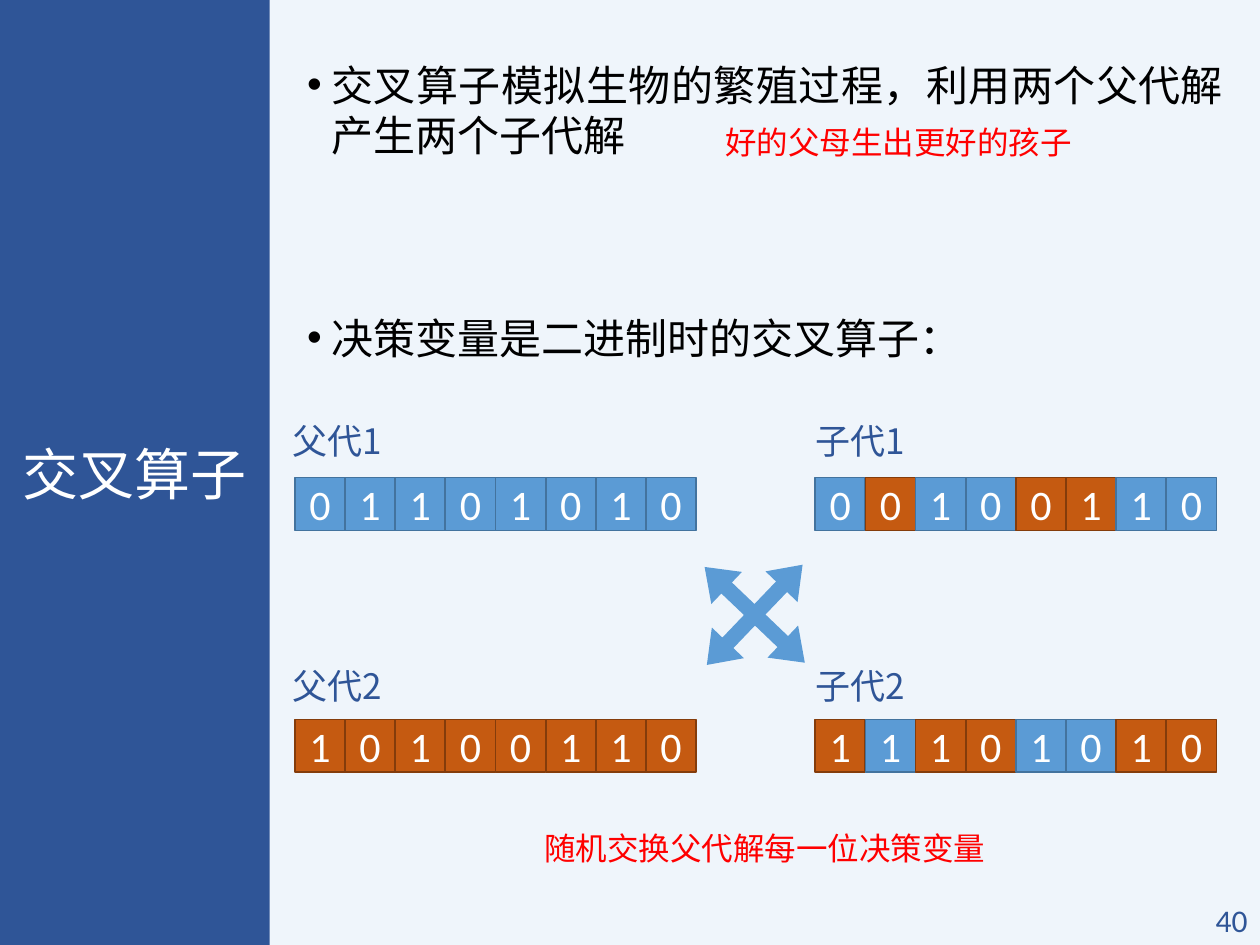
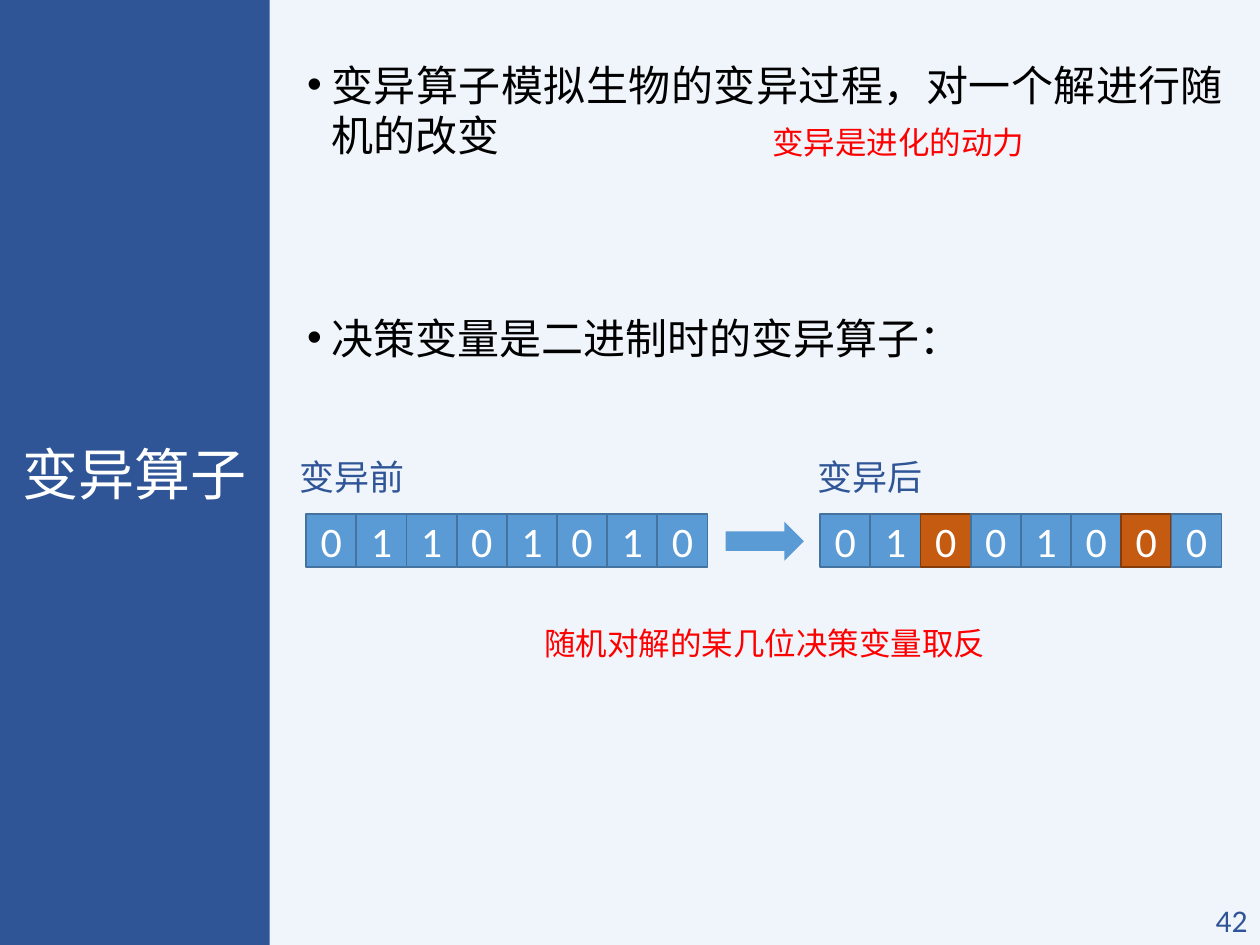
from lxml.etree import SubElement
from pptx import Presentation
from pptx.dml.color import RGBColor
from pptx.enum.shapes import MSO_SHAPE
from pptx.enum.text import MSO_ANCHOR, PP_ALIGN
from pptx.oxml.ns import qn
from pptx.util import Inches, Pt

NAVY, BLUE, ORANGE = "2F5597", "5B9BD5", "C55A11"
BLUE_EDGE, ORANGE_EDGE = "43739E", "843C0B"
WHITE, BLACK, RED, PALE = "FFFFFF", "000000", "FF0000", "EFF5FB"
CJK = "Noto Sans CJK SC"

deck = Presentation()
deck.slide_width, deck.slide_height = Inches(10), Inches(7.5)
column, row = deck.slide_width / 100, deck.slide_height / 75
layout = deck.slide_layouts[5]


def write(shape, lines, size, color, font=CJK, align=PP_ALIGN.LEFT,
          anchor=MSO_ANCHOR.TOP, inset=True):
    frame = shape.text_frame
    frame.text = "\n".join(lines)
    frame.word_wrap = True
    frame.vertical_anchor = anchor
    if not inset:
        frame.margin_left = frame.margin_right = 0
        frame.margin_top = frame.margin_bottom = 0
    for paragraph in frame.paragraphs:
        paragraph.alignment = align
        for run in paragraph.runs:
            run.font.size = Pt(size)
            run.font.name = font
            run.font.color.rgb = RGBColor.from_string(color)
            SubElement(run.font._element, qn("a:ea"), typeface=CJK)
    return frame.paragraphs


def draw(slide, preset, left, top, width, height, fill, edge=None):
    shape = slide.shapes.add_shape(preset, round(left * column), round(top * row),
                                   round(width * column), round(height * row))
    shape.shadow.inherit = False
    shape.fill.solid()
    shape.fill.fore_color.rgb = RGBColor.from_string(fill)
    if edge:
        shape.line.color.rgb = RGBColor.from_string(edge)
        shape.line.width = Pt(1)
    else:
        shape.line.fill.background()
    return shape


topics = [
    {
        "title": "交叉算子", "number": "40",
        "points": ["交叉算子模拟生物的繁殖过程，利用两个父代解产生两个子代解",
                   "决策变量是二进制时的交叉算子："],
        "motto": "好的父母生出更好的孩子",
        "summary": "随机交换父代解每一位决策变量", "summary_top": 65.2,
        "label_width": 9.9,
        "arrow": (MSO_SHAPE.QUAD_ARROW, 54.4, 43.3, 11, 11),
        "angle": 43.7, "adjustments": [0.11, 0.16, 0.22],
        "genes": [
            ("父代1", 22.2, 32.8, "01101010", "bbbbbbbb", 23.4, 37.9),
            ("父代2", 22.2, 52.2, "10100110", "oooooooo", 23.4, 57.1),
            ("子代1", 63.7, 32.8, "00100110", "bobboobb", 64.7, 37.9),
            ("子代2", 63.7, 52.2, "11101010", "oboobboo", 64.7, 57.1),
        ],
    },
    {
        "title": "变异算子", "number": "42",
        "points": ["变异算子模拟生物的变异过程，对一个解进行随机的改变",
                   "决策变量是二进制时的变异算子："],
        "motto": "变异是进化的动力",
        "summary": "随机对解的某几位决策变量取反", "summary_top": 48.9,
        "label_width": 12.7,
        "arrow": (MSO_SHAPE.RIGHT_ARROW, 57.6, 41.4, 6.2, 3.1),
        "angle": 0, "adjustments": [0.5, 0.5],
        "genes": [
            ("变异前", 22.8, 35.6, "01101010", "bbbbbbbb", 24.3, 40.8),
            ("变异后", 63.9, 35.6, "01001000", "bbobbbob", 65.1, 40.8),
        ],
    },
]

gene_colors = {"b": (BLUE, BLUE_EDGE), "o": (ORANGE, ORANGE_EDGE)}
gene_width = 31.85 / 8

layout.background.fill.solid()
layout.background.fill.fore_color.rgb = RGBColor.from_string(PALE)

for index, topic in enumerate(topics):
    slide = deck.slides.add_slide(layout)
    if index == 0:
        band = draw(slide, MSO_SHAPE.RECTANGLE, 0, 0, 21.4, 75, NAVY)
        layout.shapes.element.insert(2, band.element)

    title = slide.shapes.title
    title.left, title.top = round(0.5 * column), round(11 * row)
    title.width, title.height = round(20.4 * column), round(53.1 * row)
    write(title, [topic["title"]], 32, WHITE, "Times New Roman",
          PP_ALIGN.CENTER, MSO_ANCHOR.MIDDLE)

    notes = [
        ([topic["number"]], 90, 71, 10, 4, 18, NAVY, "Calibri", PP_ALIGN.RIGHT, MSO_ANCHOR.TOP, True),
        (topic["points"], 23.4, 4.2, 74.7, 28.3, 24, BLACK, "Times New Roman", PP_ALIGN.JUSTIFY, MSO_ANCHOR.TOP, True),
        ([topic["motto"]], 56.6, 9.2, 29.4, 3.6, 18, RED, CJK, PP_ALIGN.CENTER, MSO_ANCHOR.TOP, False),
        ([topic["summary"]], 40.1, topic["summary_top"], 41.2, 3.6, 18, RED, CJK, PP_ALIGN.CENTER, MSO_ANCHOR.TOP, False),
    ]
    for label, label_left, label_top, *_ in topic["genes"]:
        notes.append(([label], label_left, label_top, topic["label_width"], 4.4, 20, NAVY, CJK,
                      PP_ALIGN.LEFT, MSO_ANCHOR.MIDDLE, True))
    for lines, left, top, width, height, *style in notes:
        box = slide.shapes.add_textbox(round(left * column), round(top * row),
                                       round(width * column), round(height * row))
        paragraphs = write(box, lines, *style)
        if lines is topic["points"]:
            for paragraph in paragraphs:
                properties = paragraph._p.get_or_add_pPr()
                properties.set("marL", str(Inches(0.19)))
                properties.set("indent", str(-Inches(0.19)))
                SubElement(properties, qn("a:buFont"), typeface="Arial")
                SubElement(properties, qn("a:buChar"), char="•")
                paragraph.line_spacing = Pt(28.8)
            paragraphs[1].space_before = Pt(87)
        elif style[1] == RED:
            paragraphs[0].line_spacing = 1.2

    for *_, bits, origins, left, top in topic["genes"]:
        for position, (bit, origin) in enumerate(zip(bits, origins)):
            gene = draw(slide, MSO_SHAPE.RECTANGLE, left + position * gene_width, top,
                        gene_width, 4.2, *gene_colors[origin])
            write(gene, [bit], 24, WHITE, "Calibri", PP_ALIGN.CENTER, MSO_ANCHOR.MIDDLE)

    arrow = draw(slide, *topic["arrow"], BLUE)
    arrow.rotation = topic["angle"]
    for position, value in enumerate(topic["adjustments"]):
        arrow.adjustments[position] = value

deck.save("out.pptx")
